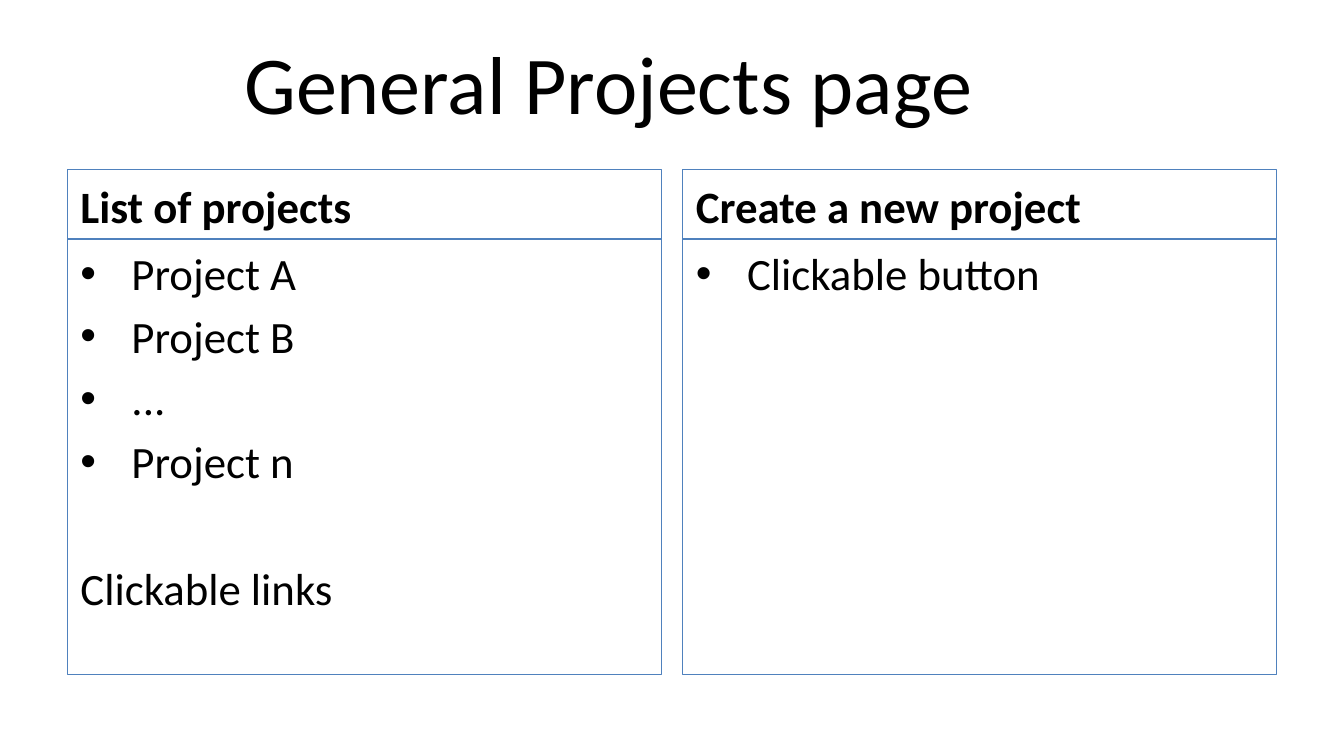
import pptx
import pptx.util
import pptx.dml.color
import pptx.enum.shapes
import pptx.enum.text
import pptx.oxml

BLACK = pptx.dml.color.RGBColor(0x00, 0x00, 0x00)
BLUE = pptx.dml.color.RGBColor(0x4F, 0x81, 0xBD)
FONT = "Calibri"
HEADER_HEIGHT = 0.52
LINE_GAP = 4.8
SECTION_GAP = 38.9


def style_paragraph(p, size, bold=False):
    """Set the font of every run in a paragraph."""
    for r in p.runs:
        r.font.name = FONT
        r.font.size = pptx.util.Pt(size)
        r.font.bold = bold
        r.font.color.rgb = BLACK


def add_bullet(p):
    """Give a paragraph a round bullet with a hanging indent."""
    pPr = p._p.get_or_add_pPr()
    pPr.set("marL", str(pptx.util.Inches(0.38)))
    pPr.set("indent", str(-pptx.util.Inches(0.38)))
    for tag, attribute, value in (("a:buFont", "typeface", "Arial"), ("a:buChar", "char", "•")):
        bullet = pptx.oxml.xmlchemy.OxmlElement(tag)
        bullet.set(attribute, value)
        pPr.append(bullet)


def add_box(s, left, top, width, height, anchor):
    """Add an outlined box and return its text frame."""
    box = map(pptx.util.Inches, (left, top, width, height))
    sp = s.shapes.add_shape(pptx.enum.shapes.MSO_SHAPE.RECTANGLE, *box)
    sp.shadow.inherit = False
    sp.fill.background()
    sp.line.color.rgb = BLUE
    sp.line.width = pptx.util.Pt(0.75)
    tf = sp.text_frame
    tf.word_wrap = True
    tf.vertical_anchor = anchor
    return tf


def add_title(s, left, top, width, height, text):
    """Add the centred slide title."""
    sp = s.shapes.add_textbox(*map(pptx.util.Inches, (left, top, width, height)))
    tf = sp.text_frame
    tf.word_wrap = True
    tf.vertical_anchor = pptx.enum.text.MSO_ANCHOR.MIDDLE
    tf.text = text
    p = tf.paragraphs[0]
    p.alignment = pptx.enum.text.PP_ALIGN.CENTER
    style_paragraph(p, 44)


def add_column(s, left, top, width, height, heading, bullets, closing=None):
    """Add a heading box above a box of bullets and an optional closing line."""
    anchors = pptx.enum.text.MSO_ANCHOR
    header = add_box(s, left, top, width, HEADER_HEIGHT, anchors.BOTTOM)
    header.text = heading
    body = add_box(s, left, top + HEADER_HEIGHT, width, height - HEADER_HEIGHT, anchors.TOP)
    body.text = "\n".join(bullets + ([closing] if closing else []))
    for p in (*header.paragraphs, *body.paragraphs):
        p.alignment = pptx.enum.text.PP_ALIGN.LEFT
        p.space_before = pptx.util.Pt(LINE_GAP)
        style_paragraph(p, 24)
    style_paragraph(header.paragraphs[0], 24, bold=True)
    for p in body.paragraphs[:len(bullets)]:
        add_bullet(p)
    if closing:
        body.paragraphs[-1].space_before = pptx.util.Pt(SECTION_GAP)


def main():
    """Build the slide and save it."""
    prs = pptx.Presentation()
    prs.slide_width = pptx.util.Inches(10)
    prs.slide_height = prs.slide_width * 9 // 16
    s = prs.slides.add_slide(prs.slide_layouts[6])
    columns = [
        ("List of projects", ["Project A", "Project B", "...", "Project n"], "Clickable links"),
        ("Create a new project", ["Clickable button"], None),
    ]
    for i, column in enumerate(columns):
        add_column(s, 0.5 + i * 4.58, 1.26, 4.42, 3.76, *column)
    add_title(s, 0.5, 0.14, 8.06, 0.94, "General Projects page")
    prs.save("out.pptx")


if __name__ == "__main__":
    main()
